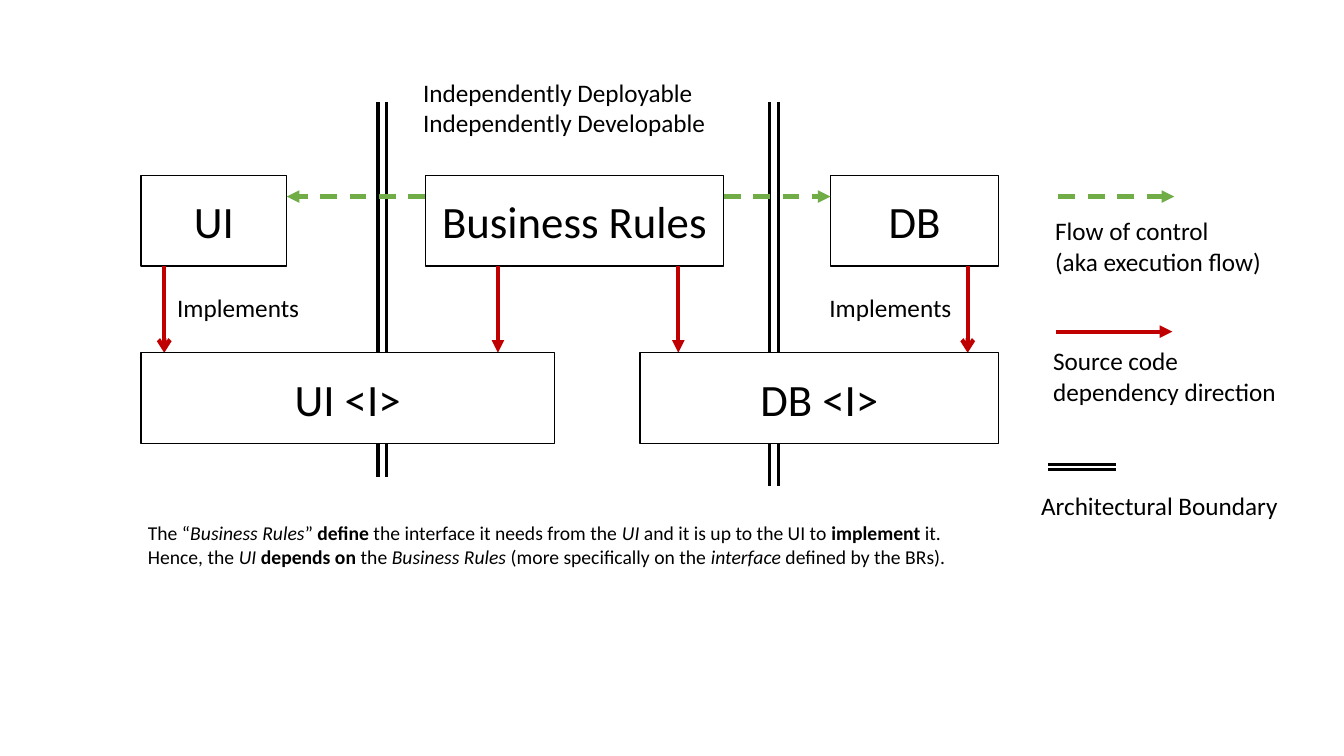
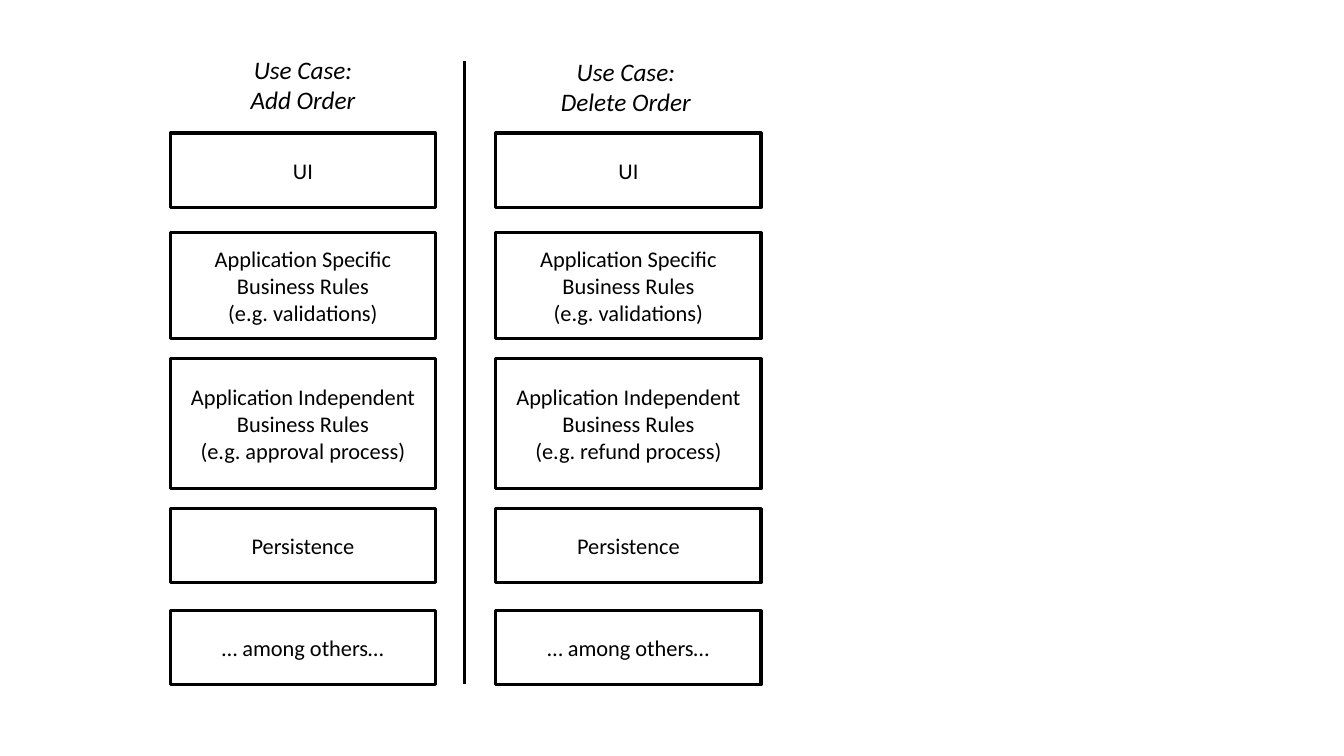
from dataclasses import dataclass

from pptx import Presentation
from pptx.dml.color import RGBColor
from pptx.enum.dml import MSO_LINE
from pptx.enum.shapes import MSO_CONNECTOR, MSO_SHAPE
from pptx.enum.text import MSO_ANCHOR, MSO_AUTO_SIZE, PP_ALIGN
from pptx.oxml.ns import qn
from pptx.shapes.autoshape import Shape
from pptx.slide import Slide
from pptx.text.text import TextFrame
from pptx.util import Pt

FONT = "Calibri"
COLORS = {
    "ink": "000000",
    "paper": "FFFFFF",
    "dependency": "C00000",
    "control": "70AD47",
}


@dataclass(frozen=True)
class Box:
    text: str
    left: float
    top: float
    width: float
    height: float
    filled: bool = True


@dataclass(frozen=True)
class Label:
    text: str
    left: float
    top: float
    width: float
    height: float


@dataclass(frozen=True)
class LineStyle:
    color: str
    width: float
    dashed: bool = False
    head: str = ""


@dataclass(frozen=True)
class Line:
    x1: float
    y1: float
    x2: float
    y2: float
    style: LineStyle


@dataclass(frozen=True)
class Span:
    text: str
    bold: bool = False
    italic: bool = False


@dataclass(frozen=True)
class Layer:
    text: str
    top: float
    height: float


@dataclass(frozen=True)
class UseCase:
    name: str
    process: str
    left: float
    heading: Label


RULE = LineStyle("ink", 2.25)
CONTROL = LineStyle("control", 3, dashed=True, head="triangle")
DEPENDENCY = LineStyle("dependency", 3, head="triangle")
IMPLEMENTS = LineStyle("dependency", 3, head="arrow")

MODULE_TOP, INTERFACE_TOP, BOX_HEIGHT = 125.3, 252, 64.8
MODULE_BOTTOM = MODULE_TOP + BOX_HEIGHT
CONTROL_Y = 140.4

MODULES = [
    Box("UI", 100.8, MODULE_TOP, 104, BOX_HEIGHT, filled=False),
    Box("Business Rules", 303.8, MODULE_TOP, 213.2, BOX_HEIGHT, filled=False),
    Box("DB", 593.2, MODULE_TOP, 120.2, BOX_HEIGHT, filled=False),
]
INTERFACES = [
    Box("UI <I>", 100.8, INTERFACE_TOP, 295.2, BOX_HEIGHT),
    Box("DB <I>", 457.2, INTERFACE_TOP, 256.2, BOX_HEIGHT),
]
BOUNDARIES = [
    Line(x + dx, 72.7, x + dx, bottom, RULE)
    for x, bottom in ((270, 340.5), (549.4, 347))
    for dx in (0, 6.4)
]
LEGEND_BOUNDARY = [Line(748.8, y, 797, y, RULE) for y in (331.9, 335.5)]
ARROWS = [
    Line(517, CONTROL_Y, 593.2, CONTROL_Y, CONTROL),
    Line(303.8, CONTROL_Y, 204.8, CONTROL_Y, CONTROL),
    Line(756, CONTROL_Y, 838.8, CONTROL_Y, CONTROL),
    Line(754.6, 236.9, 837.4, 236.9, DEPENDENCY),
] + [
    Line(x, MODULE_BOTTOM, x, INTERFACE_TOP, style)
    for x, style in (
        (117.3, IMPLEMENTS),
        (355.7, DEPENDENCY),
        (484.5, DEPENDENCY),
        (691.2, IMPLEMENTS),
    )
]
LABELS = [
    Label("Independently Deployable\nIndependently Developable", 295.2, 51.8, 218.9, 51),
    Label("Implements", 119.5, 205.2, 103, 29),
    Label("Implements", 585.4, 205.2, 103, 29),
    Label("Flow of control\n(aka execution flow)", 746.6, 150.5, 163.4, 51),
    Label("Source code\ndependency direction", 745.2, 243.4, 175.7, 51),
    Label("Architectural Boundary", 736.6, 347, 185, 29),
]
NOTE = [
    [
        Span("The “"),
        Span("Business Rules", italic=True),
        Span("” "),
        Span("define", bold=True),
        Span(" the interface it needs from the "),
        Span("UI", italic=True),
        Span(" and it is up to the UI to "),
        Span("implement", bold=True),
        Span(" it."),
    ],
    [
        Span("Hence, the "),
        Span("UI ", italic=True),
        Span("depends on", bold=True),
        Span(" the "),
        Span("Business Rules", italic=True),
        Span(" (more specifically on the "),
        Span("interface", italic=True),
        Span(" defined by the BRs)."),
    ],
]

COLUMN_WIDTH = 189.4
LAYERS = [
    Layer("UI", 95, 53.3),
    Layer("Application Specific Business Rules\n(e.g. validations)", 166.3, 75.6),
    Layer("Application Independent Business Rules\n(e.g. {process} process)", 256.3, 92.9),
    Layer("Persistence", 363.3, 52.9),
    Layer("… among others…", 436.3, 52.9),
]
USE_CASES = [
    UseCase("Add Order", "approval", 121.7, Label("Use Case:\nAdd Order", 171.4, 35.3, 90, 51)),
    UseCase("Delete Order", "refund", 354.2, Label("Use Case:\nDelete Order", 393.1, 36.7, 108, 51)),
]


def rgb(name: str) -> RGBColor:
    return RGBColor.from_string(COLORS[name])


def format_text(tf: TextFrame, size: float, align: PP_ALIGN, italic: bool = False) -> None:
    for p in tf.paragraphs:
        p.alignment = align
        for r in p.runs:
            r.font.name = FONT
            r.font.size = Pt(size)
            r.font.italic = italic
            r.font.color.rgb = rgb("ink")


def add_box(slide: Slide, box: Box, size: float, line_width: float) -> Shape:
    sp = slide.shapes.add_shape(
        MSO_SHAPE.RECTANGLE, Pt(box.left), Pt(box.top), Pt(box.width), Pt(box.height)
    )
    sp.shadow.inherit = False
    if box.filled:
        sp.fill.solid()
        sp.fill.fore_color.rgb = rgb("paper")
    else:
        sp.fill.background()
    if line_width:
        sp.line.color.rgb = rgb("ink")
        sp.line.width = Pt(line_width)
    else:
        sp.line.fill.background()
    tf = sp.text_frame
    tf.word_wrap = True
    tf.vertical_anchor = MSO_ANCHOR.MIDDLE
    tf.text = box.text
    format_text(tf, size, PP_ALIGN.CENTER)
    return sp


def add_label(
    slide: Slide, label: Label, align: PP_ALIGN = PP_ALIGN.LEFT, italic: bool = False
) -> None:
    sp = slide.shapes.add_textbox(
        Pt(label.left), Pt(label.top), Pt(label.width), Pt(label.height)
    )
    tf = sp.text_frame
    tf.word_wrap = False
    tf.auto_size = MSO_AUTO_SIZE.SHAPE_TO_FIT_TEXT
    tf.text = label.text
    format_text(tf, 18, align, italic)


def add_line(slide: Slide, line: Line) -> None:
    cx = slide.shapes.add_connector(
        MSO_CONNECTOR.STRAIGHT, Pt(line.x1), Pt(line.y1), Pt(line.x2), Pt(line.y2)
    )
    cx.line.color.rgb = rgb(line.style.color)
    cx.line.width = Pt(line.style.width)
    if line.style.dashed:
        cx.line.dash_style = MSO_LINE.DASH
    props = cx.element.spPr
    if line.style.head:
        ln = props.find(qn("a:ln"))
        ln.append(ln.makeelement(qn("a:tailEnd"), {"type": line.style.head}))
    props.append(props.makeelement(qn("a:effectLst"), {}))


def add_note(slide: Slide) -> None:
    sp = add_box(slide, Box("", 98.6, 368.6, 612, 41.2), 14, 0)
    tf = sp.text_frame
    tf.vertical_anchor = MSO_ANCHOR.TOP
    for i, spans in enumerate(NOTE):
        p = tf.add_paragraph() if i else tf.paragraphs[0]
        for span in spans:
            p.add_run().text = span.text
    format_text(tf, 14, PP_ALIGN.LEFT)
    for p, spans in zip(tf.paragraphs, NOTE):
        for r, span in zip(p.runs, spans):
            r.font.bold = span.bold
            r.font.italic = span.italic


def build_boundaries(slide: Slide) -> None:
    for line in BOUNDARIES:
        add_line(slide, line)
    for box in MODULES:
        add_box(slide, box, 32, 1)
    for line in ARROWS:
        add_line(slide, line)
    for box in INTERFACES:
        add_box(slide, box, 32, 1)
    for line in LEGEND_BOUNDARY:
        add_line(slide, line)
    for label in LABELS:
        add_label(slide, label)
    add_note(slide)


def build_use_cases(slide: Slide) -> None:
    for case in USE_CASES:
        for layer in LAYERS:
            text = layer.text.format(process=case.process)
            box = Box(text, case.left, layer.top, COLUMN_WIDTH, layer.height)
            add_box(slide, box, 16, 2.25)
        add_label(slide, case.heading, PP_ALIGN.CENTER, italic=True)
    add_line(slide, Line(331.9, 43.9, 331.9, 488.9, RULE))


def main() -> None:
    prs = Presentation()
    prs.slide_width, prs.slide_height = Pt(960), Pt(540)
    for build in (build_boundaries, build_use_cases):
        build(prs.slides.add_slide(prs.slide_layouts[6]))
    prs.save("out.pptx")


if __name__ == "__main__":
    main()
